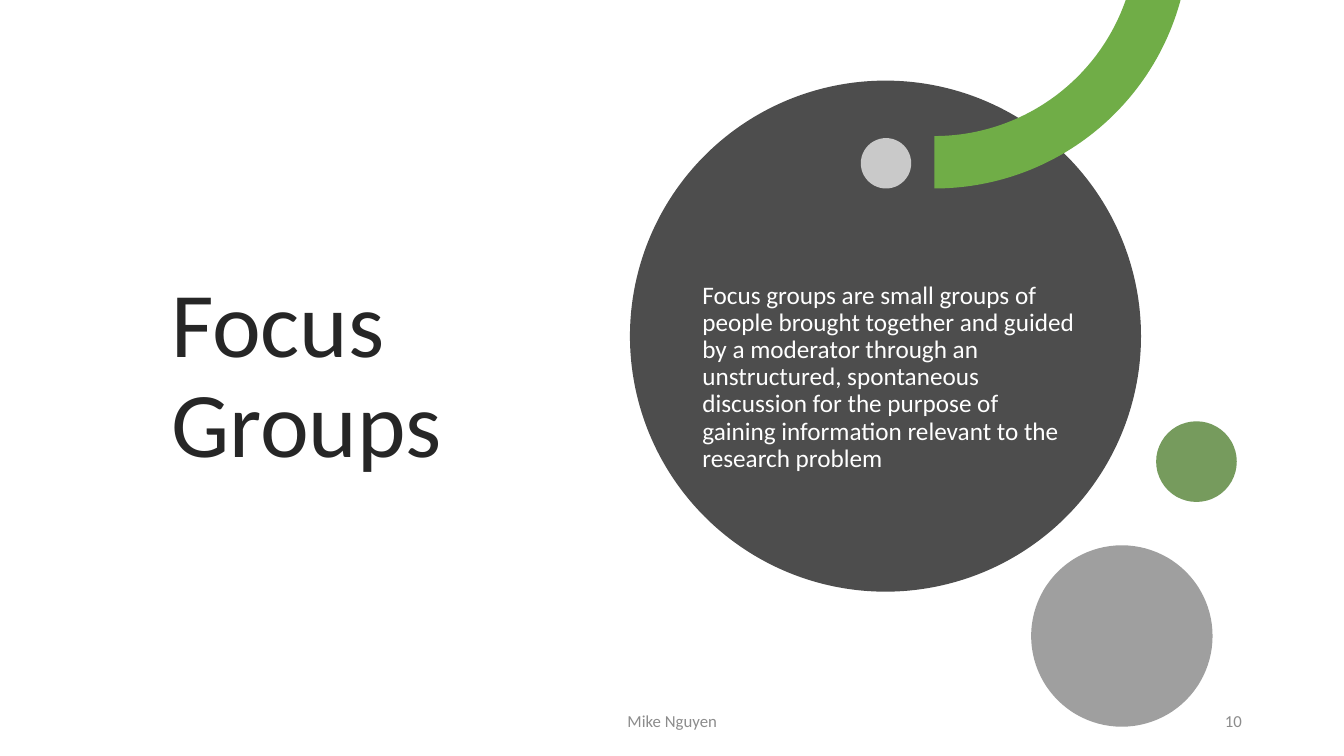
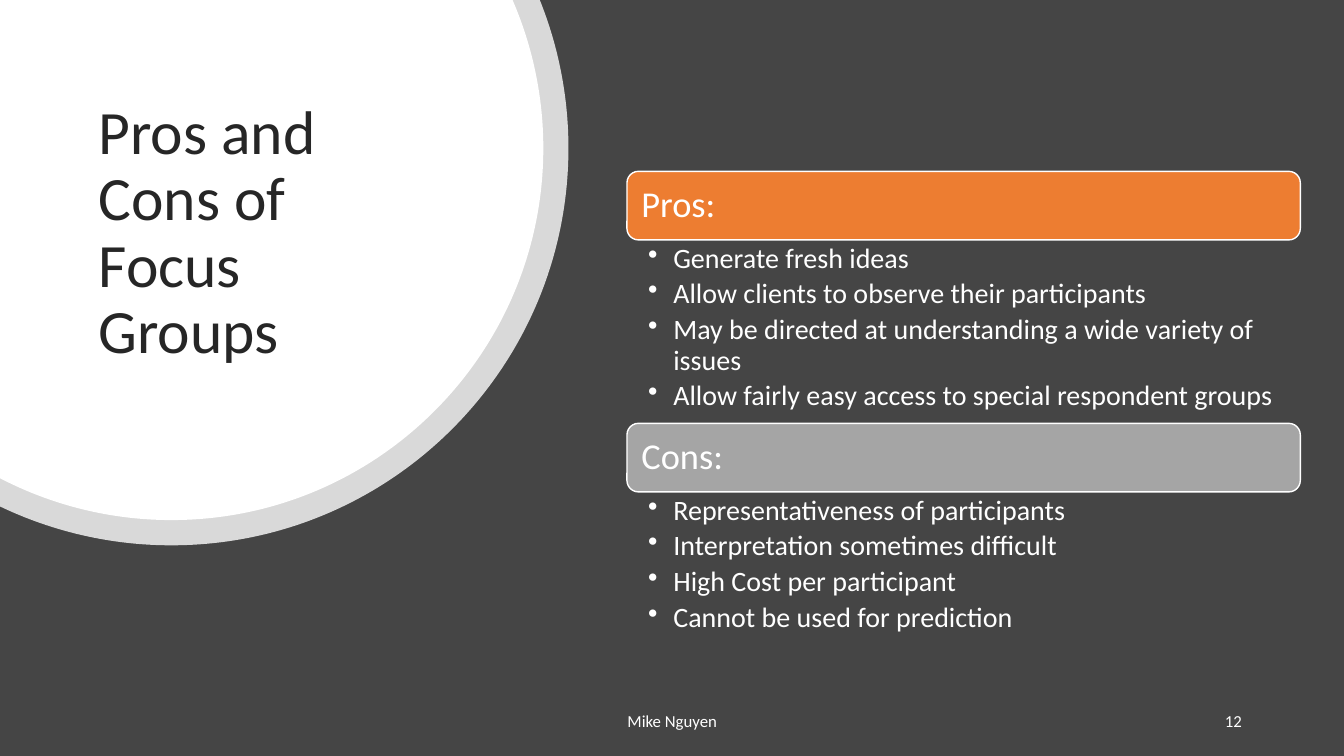
from math import acos, asin, ceil, cos, floor, pi, sin, tan

from lxml import etree
from pptx import Presentation
from pptx.dml.color import RGBColor
from pptx.enum import shapes, text
from pptx.oxml.ns import qn
from pptx.util import Inches, Pt

FONT = "Calibri"
COLOURS = {
    "white": "FFFFFF", "ink": "262626", "muted": "8C8C8C", "slate": "454545",
    "disc": "4D4D4D", "grey": "404040", "green": "70AD47", "forest": "548235",
    "orange": "ED7D31", "silver": "A5A5A5",
}
AUTHOR = "Mike Nguyen"

DEFINITION = {
    "title": "Focus Groups",
    "body": "Focus groups are small groups of people brought together and guided "
            "by a moderator through an unstructured, spontaneous discussion for "
            "the purpose of gaining information relevant to the research problem",
    "number": "10",
}
PROS_CONS = {
    "title": "Pros and Cons of Focus Groups",
    "number": "12",
    # heading, colour, height of the list, bullets
    "sections": [
        ("Pros:", "orange", 1.82, [
            "Generate fresh ideas",
            "Allow clients to observe their participants",
            "May be directed at understanding a wide variety of issues",
            "Allow fairly easy access to special respondent groups",
        ]),
        ("Cons:", "silver", 1.5, [
            "Representativeness of participants",
            "Interpretation sometimes difficult",
            "High Cost per participant",
            "Cannot be used for prediction",
        ]),
    ],
}

# left, top, diameter, colour, opacity in percent
BIG_DISC = (6.25, 0.8, 5.07, "disc", 100)
SMALL_DISCS = [
    (8.54, 1.37, 0.5, "white", 70),
    (11.47, 4.18, 0.8, "forest", 80),
    (10.23, 5.41, 1.8, "grey", 50),
]
RING_CENTRE, RING_RADII = (9.27, -0.66), (2.53, 2.01)
# radius, opacity in percent
TITLE_CENTRE, TITLE_DISCS = (1.7, 1.47), [(3.94, 80), (3.69, 100)]

ALIGN = text.PP_ALIGN
MIDDLE = text.MSO_ANCHOR.MIDDLE


def rgb(colour):
    return RGBColor.from_string(COLOURS[colour])


def paint(shape, colour, opacity=100, outline=None):
    shape.shadow.inherit = False
    shape.fill.solid()
    shape.fill.fore_color.rgb = rgb(colour)
    if opacity < 100:
        tint = shape.fill._xPr.find(qn("a:solidFill"))[0]
        etree.SubElement(tint, qn("a:alpha")).set("val", str(opacity * 1000))
    if outline:
        shape.line.color.rgb = rgb(outline)
        shape.line.width = Pt(1)
    else:
        shape.line.fill.background()


def add_disc(slide, left, top, diameter, colour, opacity):
    disc = slide.shapes.add_shape(
        shapes.MSO_SHAPE.OVAL, *map(Inches, (left, top, diameter, diameter)))
    paint(disc, colour, opacity)


def arc(centre, radius, left):
    """Bezier points of a circle from the slide's top edge clockwise to x = left.

    Curves join at quarter turns, so that no control point leaves the outline's box.
    """
    cx, cy = centre
    start, end = asin(-cy / radius), acos((left - cx) / radius)
    quarter = pi / 2
    joints = [i * quarter for i in range(floor(start / quarter) + 1, ceil(end / quarter))]
    angles = [start] + [a for a in joints if end - a > 0.01] + [end]

    def at(angle, pull=0):
        return (cx + radius * (cos(angle) - pull * sin(angle)),
                cy + radius * (sin(angle) + pull * cos(angle)))

    points = [at(start)]
    for a, b in zip(angles, angles[1:]):
        pull = 4 / 3 * tan((b - a) / 4)
        points += [at(a, pull), at(b, -pull), at(b)]
    return points


def add_outline(slide, arcs, colour, opacity=100, corner=None):
    """Close a shape from arcs joined by straight lines, with an optional first corner."""
    points, curve_starts = ([corner] if corner else []), []
    for points_of_arc in arcs:
        curve_starts += range(len(points) + 1, len(points) + len(points_of_arc), 3)
        points += points_of_arc
    first, *rest = [(Inches(x), Inches(y)) for x, y in points]
    builder = slide.shapes.build_freeform(*first)
    builder.add_line_segments(rest, close=True)
    outline = builder.convert_to_shape()
    path = next(outline._element.iter(qn("a:path")))
    steps = list(path)
    for i in curve_starts:
        curve = etree.Element(qn("a:cubicBezTo"))
        steps[i].addprevious(curve)
        for step in steps[i:i + 3]:
            curve.append(step[0])
            path.remove(step)
    paint(outline, colour, opacity)


def fill_text(frame, lines, size, colour, align=ALIGN.LEFT, anchor=MIDDLE,
              spacing=0.9, insets=(0.1, 0.05, 0.1, 0.05), bullets=False):
    frame.word_wrap = True
    frame.vertical_anchor = anchor
    (frame.margin_left, frame.margin_top,
     frame.margin_right, frame.margin_bottom) = map(Inches, insets)
    for i, line in enumerate(lines):
        paragraph = frame.add_paragraph() if i else frame.paragraphs[0]
        paragraph.alignment = align
        paragraph.line_spacing = spacing
        if bullets:
            paragraph.space_after = Pt(4)
            props = paragraph._p.get_or_add_pPr()
            props.set("marL", str(Inches(0.25)))
            props.set("indent", str(Inches(-0.25)))
            etree.SubElement(props, qn("a:buChar")).set("char", "•")
        run = paragraph.add_run()
        run.text = line
        run.font.name, run.font.size = FONT, Pt(size)
        run.font.color.rgb = rgb(colour)


def add_text(slide, box, lines, size, colour, **style):
    frame = slide.shapes.add_textbox(*map(Inches, box)).text_frame
    fill_text(frame, lines, size, colour, **style)


def add_title(slide, box, title, size):
    add_text(slide, box, [title], size, "ink")


def add_footer(slide, number, colour):
    for left, width, label, align in [(4.42, 4.5, AUTHOR, ALIGN.CENTER),
                                      (9.42, 3, number, ALIGN.RIGHT)]:
        add_text(slide, (left, 6.95, width, 0.4), [label], 12, colour,
                 align=align, spacing=1.0)


def new_slide(deck, background):
    slide = deck.slides.add_slide(deck.slide_layouts[6])
    slide.background.fill.solid()
    slide.background.fill.fore_color.rgb = rgb(background)
    return slide


def build_definition(deck):
    slide = new_slide(deck, "white")
    add_title(slide, (1.6, 1.19, 4.16, 5.11), DEFINITION["title"], 66)
    add_disc(slide, *BIG_DISC)
    outer, inner = (arc(RING_CENTRE, r, RING_CENTRE[0]) for r in RING_RADII)
    add_outline(slide, [outer, inner[::-1]], "green")
    for disc in SMALL_DISCS:
        add_disc(slide, *disc)
    add_text(slide, (6.87, 1.92, 3.9, 3.65), [DEFINITION["body"]], 18, "white")
    add_footer(slide, DEFINITION["number"], "muted")


def build_pros_cons(deck):
    slide = new_slide(deck, "slate")
    for radius, opacity in TITLE_DISCS:
        add_outline(slide, [arc(TITLE_CENTRE, radius, 0)], "white", opacity,
                    corner=(0, 0))
    add_title(slide, (0.88, 0.66, 3.52, 3.32), PROS_CONS["title"], 44)

    left, top, width, heading_height = 6.22, 1.7, 6.68, 0.68
    for heading, colour, list_height, points in PROS_CONS["sections"]:
        bar = slide.shapes.add_shape(
            shapes.MSO_SHAPE.ROUNDED_RECTANGLE,
            *map(Inches, (left, top, width, heading_height)))
        paint(bar, colour, outline="white")
        fill_text(bar.text_frame, [heading], 26, "white",
                  insets=(0.11, 0.11, 0.11, 0.11))
        top += heading_height
        add_text(slide, (left, top, width, list_height), points, 20, "white",
                 anchor=text.MSO_ANCHOR.TOP, insets=(0.21, 0.04, 0.2, 0.04),
                 bullets=True)
        top += list_height
    add_footer(slide, PROS_CONS["number"], "white")


def main():
    deck = Presentation()
    deck.slide_width, deck.slide_height = Inches(40 / 3), Inches(7.5)
    build_definition(deck)
    build_pros_cons(deck)
    deck.save("out.pptx")


if __name__ == "__main__":
    main()
